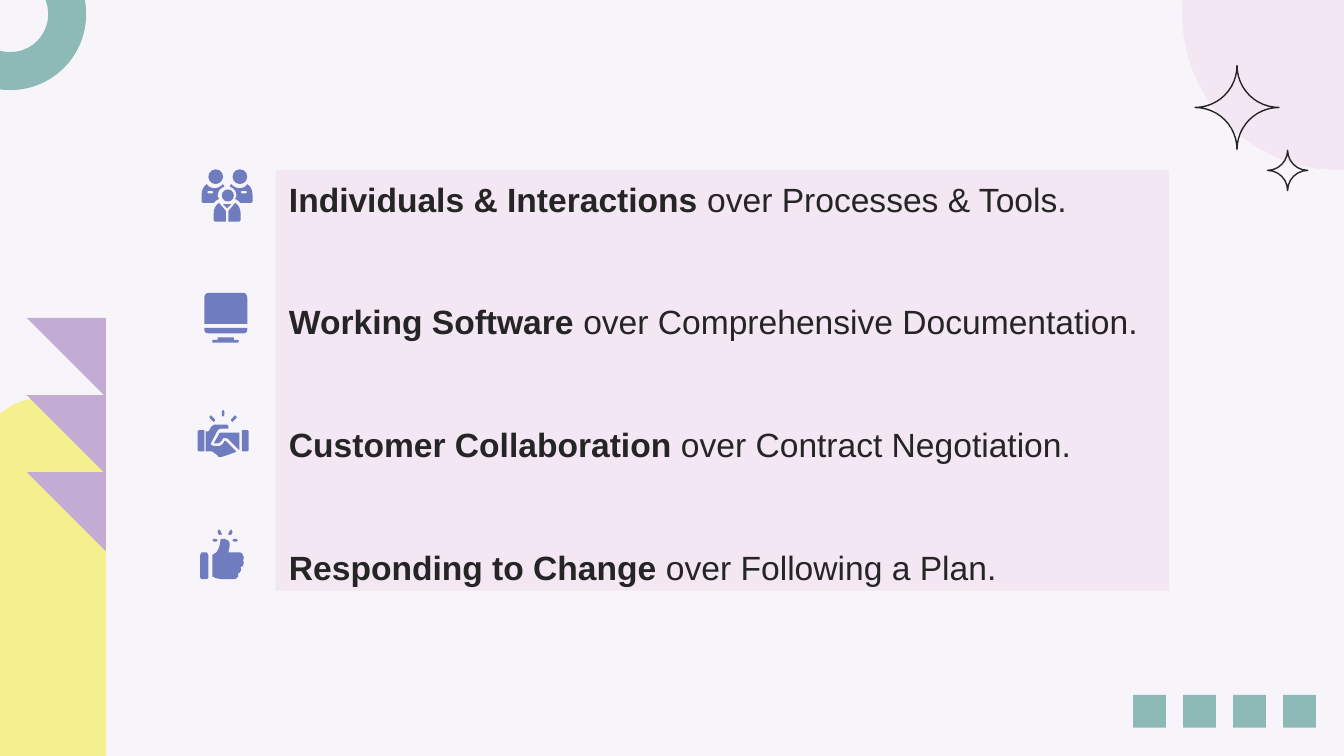
from pptx import Presentation
from pptx.dml.color import RGBColor
from pptx.enum.shapes import MSO_SHAPE
from pptx.enum.text import MSO_ANCHOR, MSO_AUTO_SIZE, PP_ALIGN
from pptx.util import Pt

OVAL, DONUT, RECT = MSO_SHAPE.OVAL, MSO_SHAPE.DONUT, MSO_SHAPE.RECTANGLE
ARCH, SPARKLE = MSO_SHAPE.ROUND_2_SAME_RECTANGLE, MSO_SHAPE.PLAQUE

PAPER, PINK, TEAL, YELLOW = "F8F5FA", "F3E7F3", "8DBAB7", "F4F08D"
LILAC, INDIGO, INK = "C2ACD3", "6F7CBF", "252525"

AGILE_VALUES = [
    ("Individuals & Interactions", " over Processes & Tools."),
    ("Working Software", " over Comprehensive Documentation."),
    ("Customer Collaboration", " over Contract Negotiation."),
    ("Responding to Change", " over Following a Plan."),
]

# Outlines: "x,y" is a corner, "C" starts a curve of three points, "|" a hole.
ICON_UNIT = 0.72
HEADS = [(5, 0, 11), (23, 0, 11), (15, 15, 9)]
PEOPLE = {
    "left": 108, "top": 90.72, "width": 38,
    "single": ["16,26 19,29 22,26"],
    "paired": [
        "25,25 20,31 20,39 28,39 29,38 29,33 C 29,30 28,27 25,25",
        "34,11 C 33,13 31,14 28,14 C 26,14 24,13 22,11 21,13 "
        "C 24,14 26,16 26,20 25,22 C 27,23 28,24 29,25 37,25 38,24 38,20 "
        "C 38,16 37,13 34,11 | 33,16 34,17 33,18 30,18 29,17 30,16",
    ],
}
MONITOR = {
    "left": 109.44, "top": 156.96, "width": 32,
    "single": [
        "3,0 C 1,0 0,2 0,4 0,23 32,23 32,4 C 32,2 31,0 29,0",
        "0,26 0,27 C 0,29 1,30 3,30 29,30 C 31,30 32,29 32,27 32,26",
        "10,33 10,35 6,35 6,37 25,37 26,36 25,35 22,35 22,33",
    ],
    "paired": [],
}
HANDSHAKE = {
    "left": 105.84, "top": 219.6, "width": 38,
    "single": [
        "19,0 18,1 18,4 19,5 20,4 20,1",
        "18,17 C 17,17 16,17 16,18 12,25 14,25 C 16,25 17,24 18,23 "
        "19,21 21,21 C 22,21 22,21 23,22 31,30 31,17",
        "13,11 C 12,11 11,12 10,13 9,15 8,16 6,16 6,31 11,31 15,34 "
        "C 15,35 16,35 17,35 18,35 27,32 29,31 21,23 20,23 "
        "C 19,26 17,27 15,27 C 13,27 12,27 10,26 10,25 14,17 "
        "C 15,15 16,14 18,14 23,14 23,12 22,11",
    ],
    "paired": [
        "10,4 9,5 9,6 11,8 12,9 13,8 13,7 11,5",
        "33,15 33,31 37,31 38,30 38,16 37,15",
    ],
}
THUMB_UP = {
    "left": 107.28, "top": 283.68, "width": 37,
    "single": [
        "1,17 0,19 0,36 1,37 5,37 6,36 6,19 5,17",
        "16,7 C 16,7 15,7 15,8 C 15,10 14,15 12,17 C 11,18 10,18 9,19 9,35 "
        "C 11,36 13,37 18,37 25,37 C 27,37 29,35 28,33 C 30,32 31,30 30,28 "
        "C 32,28 33,25 32,23 C 32,22 33,21 32,20 C 32,19 31,17 29,17 21,17 "
        "C 21,16 22,13 22,11 C 22,9 20,7 17,7",
    ],
    "paired": [
        "10,7 9,8 10,9 12,9 13,8 12,7",
        "14,0 13,1 13,2 14,4 15,4 16,4 16,3 15,1",
    ],
}


def color(hex_code):
    return RGBColor.from_string(hex_code)


def flatten(contour, steps=6):
    """Turn one contour into points, sampling its Bezier curves."""
    tokens = iter(contour.split())

    def next_point(token=None):
        return tuple(float(n) for n in (token or next(tokens)).split(","))

    points = []
    for token in tokens:
        if token != "C":
            points.append(next_point(token))
            continue
        start, control1, control2, end = points[-1], next_point(), next_point(), next_point()
        for step in range(1, steps + 1):
            t = step / steps
            u = 1 - t
            points.append(tuple(
                u**3 * a + 3 * u * u * t * b + 3 * u * t * t * c + t**3 * d
                for a, b, c, d in zip(start, control1, control2, end)))
    return points


class Deck:
    font = "Arial"
    text_size = 18
    line_width = 0.75

    def __init__(self, width, height):
        self.presentation = Presentation()
        self.presentation.slide_width = Pt(width)
        self.presentation.slide_height = Pt(height)

    def add_slide(self, background):
        self.slide = self.presentation.slides.add_slide(self.presentation.slide_layouts[0])
        fill = self.slide.background.fill
        fill.solid()
        fill.fore_color.rgb = color(background)
        title = self.slide.shapes.title
        title.element.getparent().remove(title.element)

    def paint(self, shape, fill, line):
        shape.shadow.inherit = False
        if fill:
            shape.fill.solid()
            shape.fill.fore_color.rgb = color(fill)
        else:
            shape.fill.background()
        if line:
            shape.line.color.rgb = color(line)
            shape.line.width = Pt(self.line_width)
        else:
            shape.line.fill.background()

    def preset(self, kind, left, top, width, height, fill=None, line=None, adjust=()):
        shape = self.slide.shapes.add_shape(kind, Pt(left), Pt(top), Pt(width), Pt(height))
        for index, value in enumerate(adjust):
            shape.adjustments[index] = value
        self.paint(shape, fill, line)

    def outline(self, path_text, left, top, fill, unit=1, mirror_width=None):
        """Draw an outline, flipped left to right when mirror_width is given."""
        builder = None
        for contour in path_text.split("|"):
            points = [
                (Pt(left + unit * (x if mirror_width is None else mirror_width - x)),
                 Pt(top + unit * y))
                for x, y in flatten(contour)]
            if builder is None:
                builder = self.slide.shapes.build_freeform(*points[0])
            else:
                builder.move_to(*points[0])
            builder.add_line_segments(points[1:], close=True)
        self.paint(builder.convert_to_shape(), fill, None)

    def icon(self, design, fill):
        place = design["left"], design["top"], fill, ICON_UNIT
        for part in design["single"] + design["paired"]:
            self.outline(part, *place)
        for part in design["paired"]:
            self.outline(part, *place, mirror_width=design["width"])

    def statements(self, pairs, left, top, width, height, fill, gap):
        body = self.slide.placeholders[1]
        body.left, body.top, body.width, body.height = Pt(left), Pt(top), Pt(width), Pt(height)
        body.fill.solid()
        body.fill.fore_color.rgb = color(fill)
        frame = body.text_frame
        frame.word_wrap = True
        frame.auto_size = MSO_AUTO_SIZE.NONE
        frame.vertical_anchor = MSO_ANCHOR.MIDDLE
        frame.margin_left = frame.margin_right = Pt(7.2)
        frame.margin_top, frame.margin_bottom = Pt(2.6), 0
        for index, (preferred, other) in enumerate(pairs):
            paragraph = frame.add_paragraph() if index else frame.paragraphs[0]
            paragraph.alignment = PP_ALIGN.LEFT
            paragraph.line_spacing = 1.0
            paragraph.space_before = Pt(gap if index else 0)
            paragraph.font.name = self.font
            paragraph.font.size = Pt(self.text_size)
            paragraph.font.color.rgb = color(INK)
            for text, bold in ((preferred, True), (other, False)):
                run = paragraph.add_run()
                run.text = text
                run.font.bold = bold


def main():
    deck = Deck(720, 405)
    deck.add_slide(PAPER)

    deck.preset(OVAL, 633.6, -75.6, 166.3, 166.3, PINK, PINK)
    deck.preset(DONUT, -35.2, -33.1, 81.4, 81.4, TEAL, adjust=[0.25])
    for column in range(4):
        deck.preset(RECT, 607 + 26.8 * column, 372.3, 17.6, 17.6, TEAL)
    deck.preset(ARCH, -11.2, 213.1, 67.9, 191.9, YELLOW, adjust=[0.5, 0])
    for row in range(3):
        deck.outline("0,0 42.3,42.3 42.3,0", 14.4, 170.4 + 41.3 * row, LILAC)
    deck.preset(SPARKLE, 640.2, 35.1, 45, 45, line=INK, adjust=[0.5])
    deck.preset(SPARKLE, 679, 80.5, 21.6, 21.6, line=INK, adjust=[0.5])

    deck.statements(AGILE_VALUES, 147.6, 91.2, 478.8, 225.2, PINK, gap=44.1)

    for x, y, size in HEADS:
        deck.preset(OVAL, PEOPLE["left"] + ICON_UNIT * x, PEOPLE["top"] + ICON_UNIT * y,
                    ICON_UNIT * size, ICON_UNIT * size, INDIGO)
    for design in (PEOPLE, MONITOR, HANDSHAKE, THUMB_UP):
        deck.icon(design, INDIGO)

    deck.presentation.save("out.pptx")


if __name__ == "__main__":
    main()
